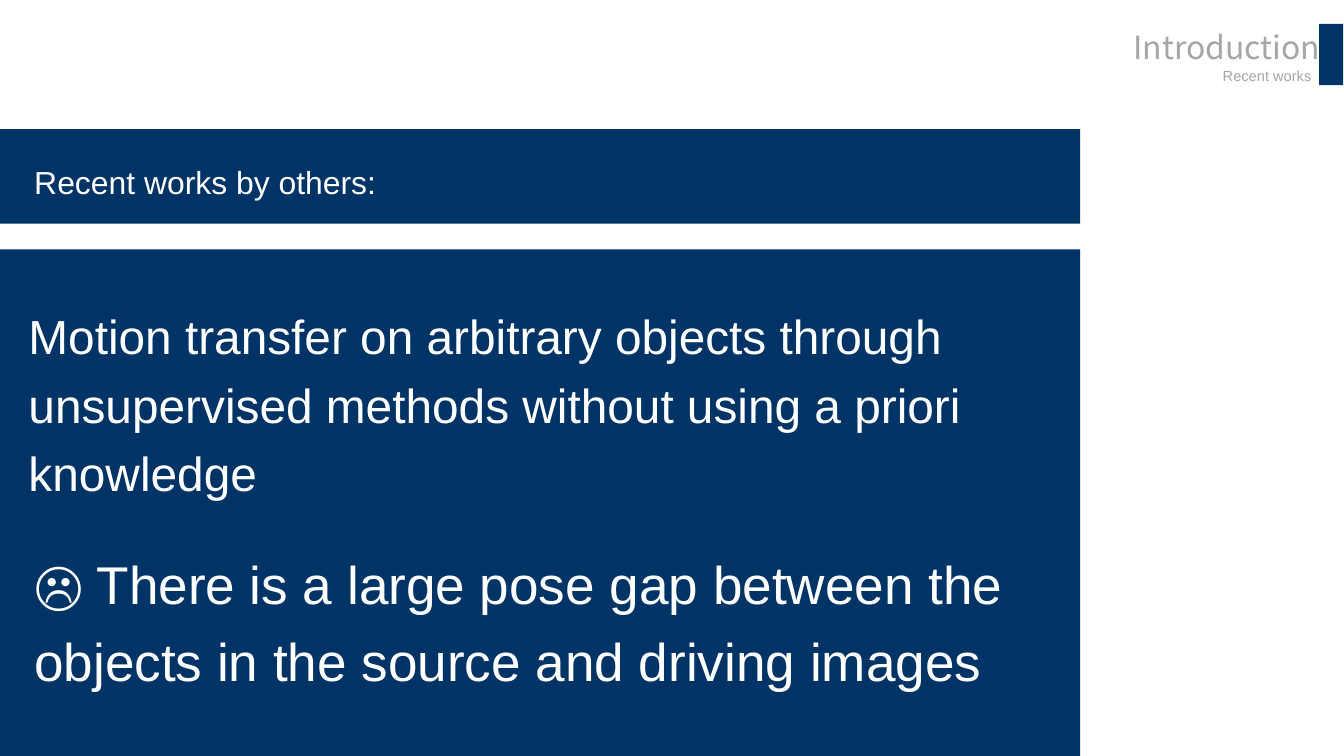
import pptx
import pptx.dml.color
import pptx.enum.shapes
import pptx.enum.text
import pptx.util

NAVY, WHITE, GREY = "003366", "FFFFFF", "A6A6A6"


def color(hex_string):
    return pptx.dml.color.RGBColor.from_string(hex_string)


def write(shape, text, size, hex_color, font="Arial", spacing=1.0,
          align=pptx.enum.text.PP_ALIGN.LEFT, wrap=True, inset=True):
    frame = shape.text_frame
    frame.text = text
    frame.word_wrap = wrap
    frame.auto_size = pptx.enum.text.MSO_AUTO_SIZE.SHAPE_TO_FIT_TEXT
    frame.vertical_anchor = pptx.enum.text.MSO_ANCHOR.TOP
    if not inset:
        frame.margin_left = frame.margin_right = 0
        frame.margin_top = frame.margin_bottom = 0
    paragraph = frame.paragraphs[0]
    paragraph.alignment = align
    paragraph.line_spacing = spacing
    run = paragraph.runs[0]
    run.font.name = font
    run.font.size = pptx.util.Pt(size)
    run.font.color.rgb = color(hex_color)


class SlideBuilder:
    """Places elements by left, top, width and height in percent of the slide."""

    heading_style = dict(hex_color=GREY, wrap=False, inset=False,
                         align=pptx.enum.text.PP_ALIGN.RIGHT)
    body_style = dict(hex_color=WHITE, spacing=1.2)

    def __init__(self, presentation):
        self.width = presentation.slide_width
        self.height = presentation.slide_height
        self.slide = presentation.slides.add_slide(presentation.slide_layouts[5])

    def box(self, left, top, width, height):
        return (round(self.width * left / 100), round(self.height * top / 100),
                round(self.width * width / 100), round(self.height * height / 100))

    def title(self, place, text, size, font):
        shape = self.slide.shapes.title
        shape.left, shape.top, shape.width, shape.height = self.box(*place)
        write(shape, text, size, font=font, **self.heading_style)

    def text(self, place, text, size, style):
        write(self.slide.shapes.add_textbox(*self.box(*place)), text, size, **style)

    def panel(self, place):
        shape = self.slide.shapes.add_shape(
            pptx.enum.shapes.MSO_SHAPE.RECTANGLE, *self.box(*place))
        shape.shadow.inherit = False
        shape.fill.solid()
        shape.fill.fore_color.rgb = color(NAVY)
        shape.line.fill.background()


def main():
    presentation = pptx.Presentation()
    presentation.slide_width = pptx.util.Inches(14.06)
    presentation.slide_height = pptx.util.Inches(7.91)
    builder = SlideBuilder(presentation)

    heading_panel = (-0.43, 17.07, 80.8, 12.52)
    body_panel = (-0.43, 33, 80.8, 67)
    title_marker = (98.15, 3.16, 1.78, 8.09)
    for place in (heading_panel, body_panel, title_marker):
        builder.panel(place)

    builder.title((84, 3.67, 14.22, 5.06), "Introduction", 24, "Noto Sans CJK SC")
    builder.text((90.97, 8.85, 6.61, 2.4), "Recent works", 11, builder.heading_style)
    builder.text((1.85, 19.85, 41.18, 6.83), "Recent works by others:", 24,
                 builder.body_style)
    builder.text((1.42, 38.43, 82.57, 28.07),
                 "Motion transfer on arbitrary objects through unsupervised methods "
                 "without using a priori knowledge", 36, builder.body_style)
    builder.text((1.85, 70.67, 78.38, 20.73),
                 "☹ There is a large pose gap between the objects in the source "
                 "and driving images", 40, builder.body_style)

    presentation.save("out.pptx")


if __name__ == "__main__":
    main()
